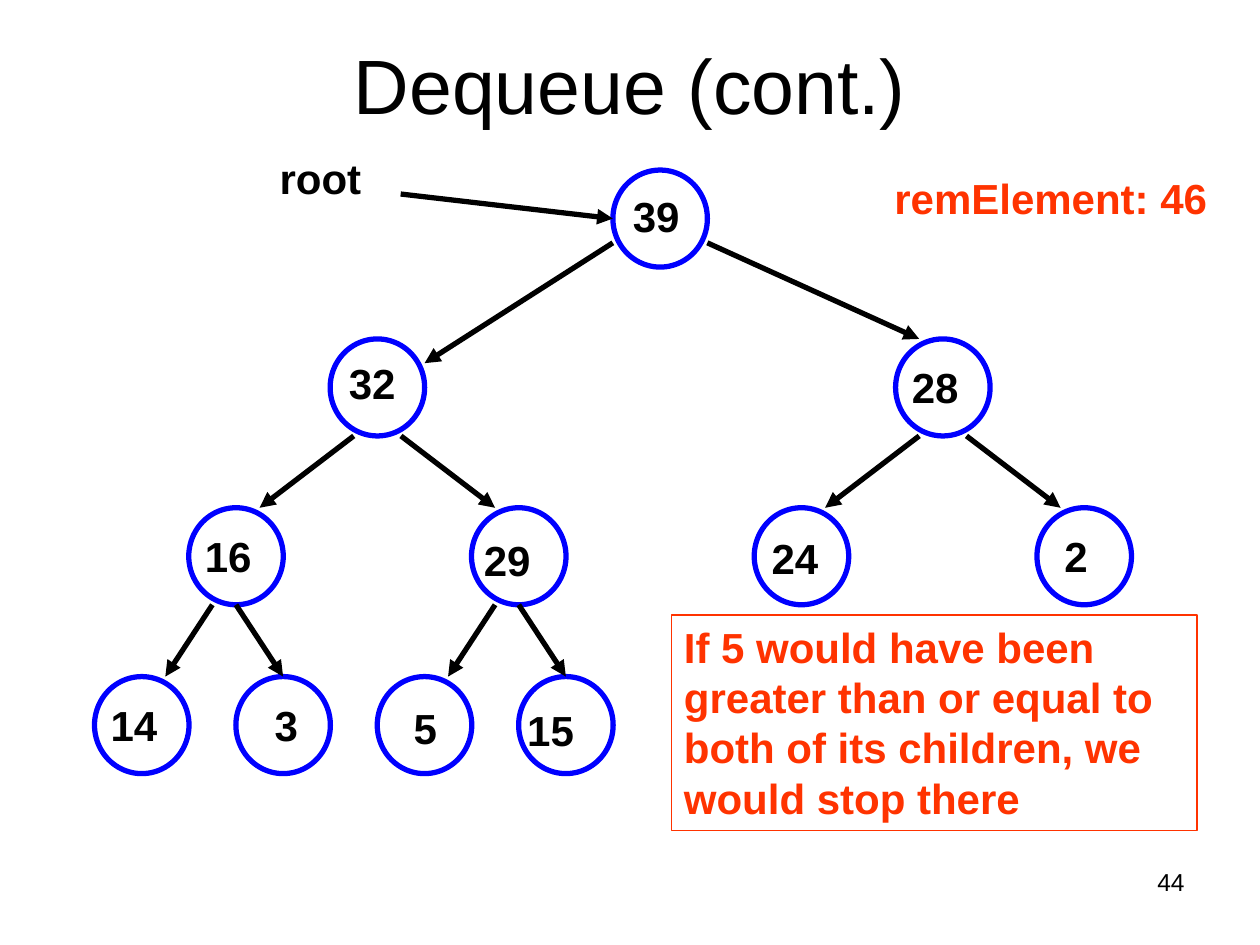
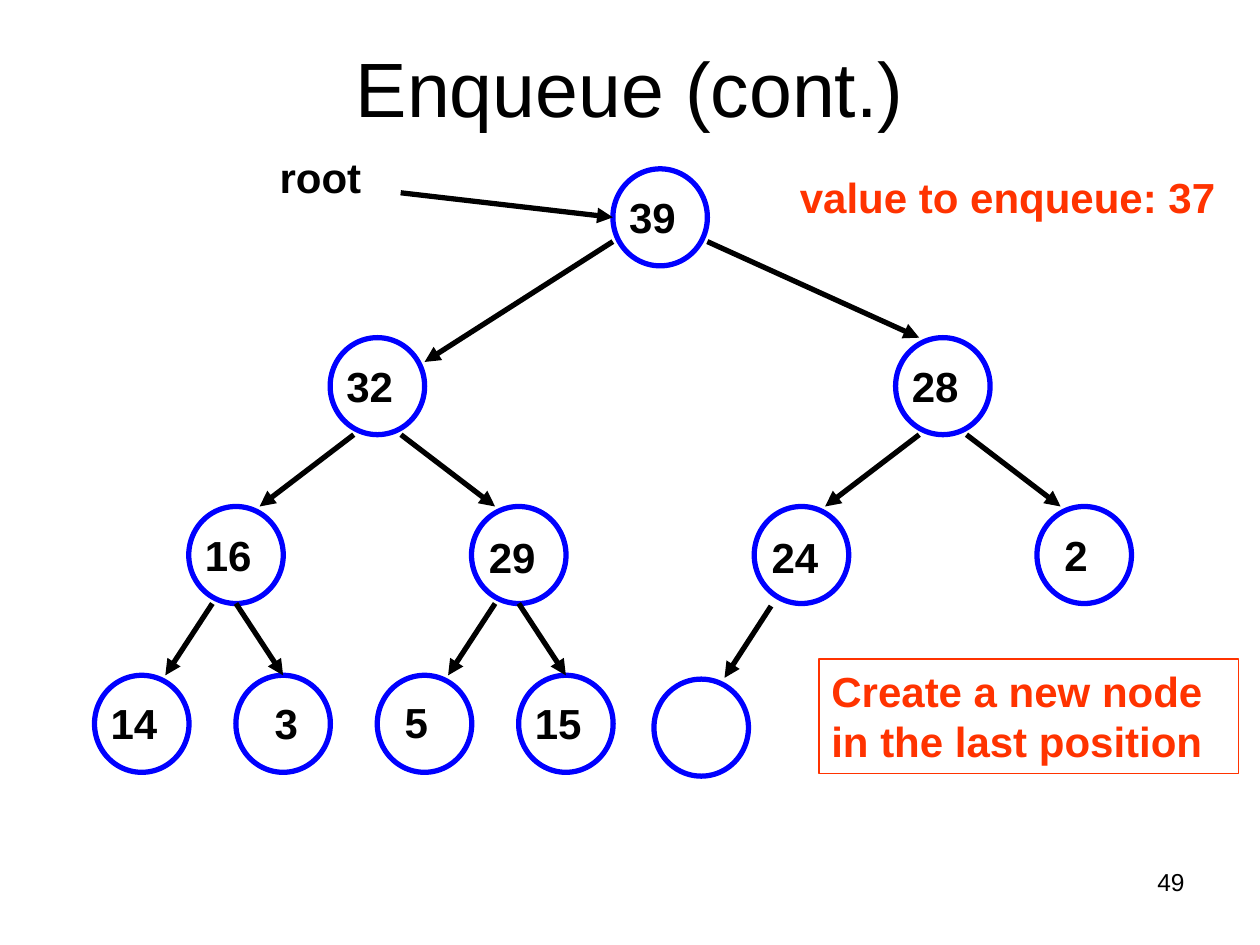
from dataclasses import dataclass

from lxml import etree
from pptx import Presentation
from pptx.dml.color import RGBColor
from pptx.enum import shapes, text
from pptx.oxml.ns import qn
from pptx.util import Inches, Pt


@dataclass(frozen=True)
class Theme:
    font: str = "Arial"
    ink: RGBColor = RGBColor(0, 0, 0)
    paper: RGBColor = RGBColor(255, 255, 255)
    ring: RGBColor = RGBColor(0, 0, 255)
    accent: RGBColor = RGBColor(0xFF, 0x33, 0)
    title: int = 44
    body: int = 24
    number: int = 14
    stroke: float = 3
    frame: float = 0.75


THEME = Theme()

# Tree grid, in inches
LEFT, COLUMN, LEVEL = 0.75, 0.374, 1.34
NODE_W, NODE_H = 0.75, 0.77
SPACE = 0.09  # one label indent step

# value: (column, level, indent steps)
TREE = {
    "39": (11, 0, 1),
    "32": (5, 1, 1), "28": (17, 1, 1),
    "16": (2, 2, 1), "29": (8, 2, 1), "24": (14, 2, 1), "2": (20, 2, 2),
    "14": (0, 3, 1), "3": (3, 3, 3), "5": (6, 3, 2), "15": (9, 3, 1),
}

# Arrow ends, as fractions of a node's width and height
LEFT_DOWN = ((0.25, 1), (0.75, 0))
RIGHT_DOWN = ((0.75, 1), (0.25, 0))
MIDDLE_DOWN = ((0.5, 1), (0.5, 0))
EDGES = [
    ("39", "32", ((0, 0.75), (1, 0.25))),
    ("39", "28", ((1, 0.75), (0.25, 0))),
    ("32", "16", LEFT_DOWN), ("32", "29", RIGHT_DOWN),
    ("28", "24", LEFT_DOWN), ("28", "2", RIGHT_DOWN),
    ("16", "14", LEFT_DOWN), ("16", "3", MIDDLE_DOWN),
    ("29", "5", LEFT_DOWN), ("29", "15", MIDDLE_DOWN),
]

# Label offset from its node
LABEL_OFFSET = (-0.06, 0.13)
DEQUEUE_OFFSETS = {"39": (0.06, 0.11), "32": (-0.04, 0.1), "29": (-0.09, 0.16),
                   "24": (-0.05, 0.15), "5": (0.01, 0.16), "15": (-0.12, 0.17)}
DEQUEUE_OFFSETS["39"] = (0.06 - SPACE, 0.11)
ENQUEUE_OFFSETS = {"29": (-0.05, 0.15), "24": (-0.05, 0.15), "5": (-0.06, 0.12)}


def add_text(page, wording, area, size=THEME.body, color=THEME.ink, bold=True,
             align=text.PP_ALIGN.LEFT, anchor=text.MSO_ANCHOR.TOP, indent=0):
    box = page.shapes.add_textbox(*map(Inches, area))
    frame = box.text_frame
    frame.word_wrap = True
    frame.vertical_anchor = anchor
    para = frame.paragraphs[0]
    para.text = wording
    para.alignment = align
    if indent:
        para._p.get_or_add_pPr().set("marL", str(Inches(indent)))
    font = para.font
    font.name, font.size, font.bold = THEME.font, Pt(size), bold
    font.color.rgb = color
    return box


def add_note(page, wording, area):
    note = add_text(page, wording, area, color=THEME.accent)
    note.line.color.rgb = THEME.accent
    note.line.width = Pt(THEME.frame)


def add_node(page, left, top):
    node = page.shapes.add_shape(shapes.MSO_SHAPE.OVAL, Inches(left), Inches(top),
                                 Inches(NODE_W), Inches(NODE_H))
    node.shadow.inherit = False
    node.fill.solid()
    node.fill.fore_color.rgb = THEME.paper
    node.line.color.rgb = THEME.ring
    node.line.width = Pt(THEME.stroke)


def add_arrow(page, start, end):
    arrow = page.shapes.add_connector(shapes.MSO_CONNECTOR.STRAIGHT,
                                      *map(Inches, (*start, *end)))
    arrow.line.color.rgb = THEME.ink
    arrow.line.width = Pt(THEME.stroke)
    etree.SubElement(arrow.line._get_or_add_ln(), qn("a:tailEnd"), type="triangle")
    etree.SubElement(arrow._element.spPr, qn("a:effectLst"))


def node_point(corner, fraction):
    return corner[0] + NODE_W * fraction[0], corner[1] + NODE_H * fraction[1]


def add_tree(page, top, offsets):
    corners = {}
    for value, (column, level, steps) in TREE.items():
        left, node_top = LEFT + COLUMN * column, top + LEVEL * level
        corners[value] = left, node_top
        add_node(page, left, node_top)
        dx, dy = offsets.get(value, LABEL_OFFSET)
        add_text(page, value, (left + dx, node_top + dy, 0.94, 0.76),
                 indent=SPACE * steps)
    for parent, child, (start, end) in EDGES:
        add_arrow(page, node_point(corners[parent], start),
                  node_point(corners[child], end))
    # Pointer to the root
    add_text(page, "root", (2.12, top - 0.19, 1.25, 0.57))
    add_arrow(page, (3.18, top + 0.19), node_point(corners["39"], (0, 0.5)))


def add_page(deck, title, title_top, number):
    page = deck.slides.add_slide(deck.slide_layouts[6])
    add_text(page, title, (0.5, title_top, 9, 1.25), THEME.title, bold=False,
             align=text.PP_ALIGN.CENTER, anchor=text.MSO_ANCHOR.MIDDLE)
    add_text(page, number, (7.17, 6.83, 2.33, 0.52), THEME.number, bold=False,
             align=text.PP_ALIGN.RIGHT)
    return page


def main():
    deck = Presentation()
    deck.slide_width, deck.slide_height = Inches(10), Inches(7.5)

    # Dequeue
    page = add_page(deck, "Dequeue (cont.)", 0.04, "44")
    add_tree(page, 1.35, DEQUEUE_OFFSETS)
    add_text(page, "remElement: 46", (7, 1.32, 2.83, 0.5), color=THEME.accent)
    add_note(page, "If 5 would have been greater than or equal to both of its "
                   "children, we would stop there", (5.33, 4.88, 4.17, 1.71))

    # Enqueue, with the new empty node
    page = add_page(deck, "Enqueue (cont.)", 0.06, "49")
    add_tree(page, 1.34, ENQUEUE_OFFSETS)
    add_text(page, "value to enqueue: 37", (6.25, 1.31, 3.58, 0.5),
             color=THEME.accent)
    add_note(page, "Create a new node in the last position",
             (6.5, 5.23, 3.33, 0.91))
    add_node(page, 5.19, 5.39)
    add_arrow(page, (6.12, 4.81), (5.75, 5.38))

    deck.save("out.pptx")


if __name__ == "__main__":
    main()
